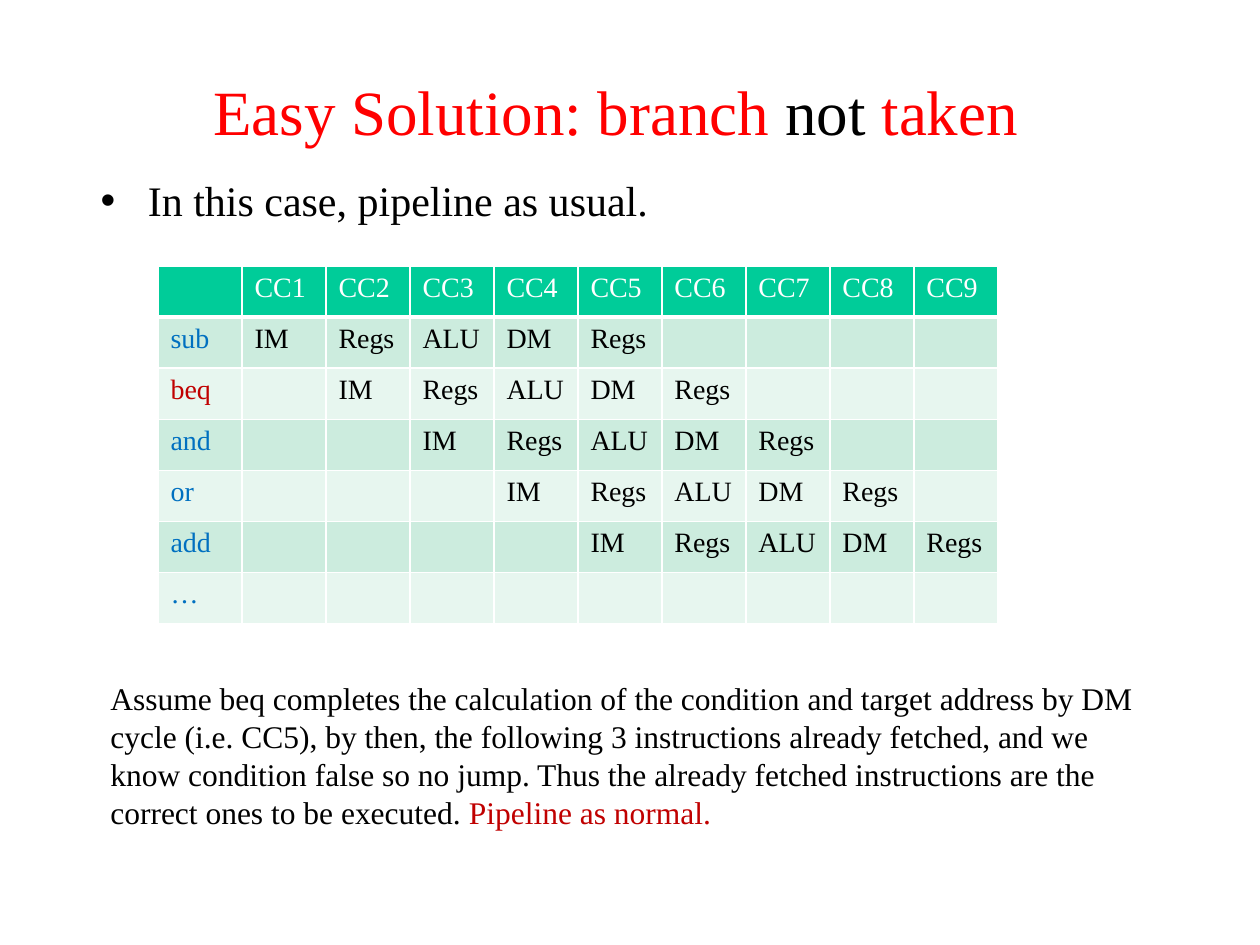
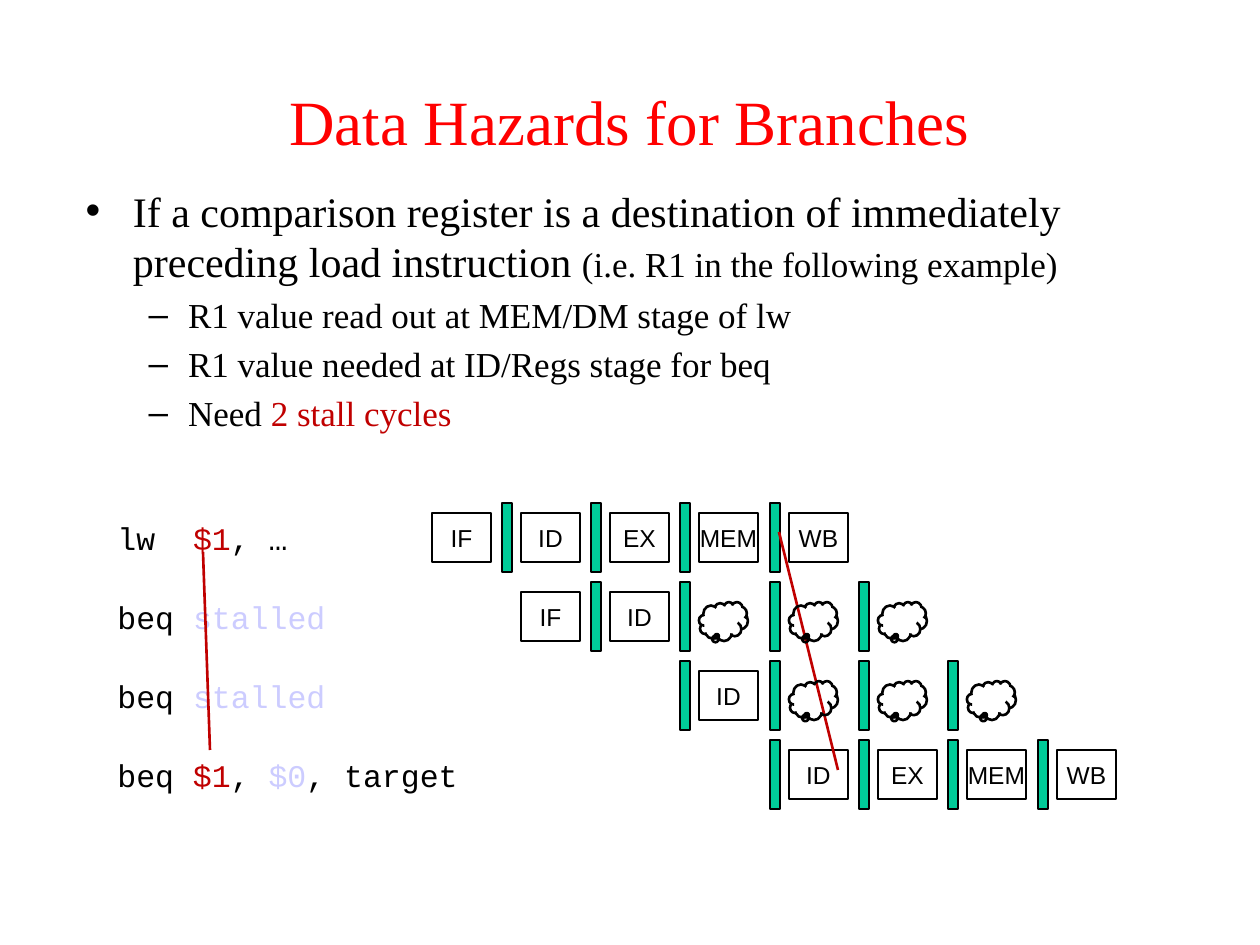
from dataclasses import dataclass

from lxml import etree
from pptx import Presentation
from pptx.dml.color import RGBColor
from pptx.enum.shapes import MSO_CONNECTOR, MSO_SHAPE
from pptx.enum.text import MSO_ANCHOR, MSO_AUTO_SIZE, PP_ALIGN
from pptx.oxml.ns import qn
from pptx.util import Emu, Pt

PX_PER_INCH = 126
CENTER = PP_ALIGN.CENTER
MIDDLE = MSO_ANCHOR.MIDDLE
NO_AUTOFIT = MSO_AUTO_SIZE.NONE
RECTANGLE = MSO_SHAPE.RECTANGLE
CLOUD = MSO_SHAPE.CLOUD_CALLOUT
STRAIGHT = MSO_CONNECTOR.STRAIGHT


@dataclass(frozen=True)
class Theme:
    serif: str = "Times New Roman"
    sans: str = "Arial"
    mono: str = "Courier New"
    title: str = "FF0000"
    ink: str = "000000"
    accent: str = "C00000"
    muted: str = "CCCCFF"
    instruction: str = "0070C0"
    green: str = "00CC99"
    band_dark: str = "CCECDE"
    band_light: str = "E7F6EF"
    white: str = "FFFFFF"
    title_size: int = 36
    body_size: int = 24
    detail_size: int = 20
    text_size: int = 18
    table_size: int = 16
    label_size: int = 14


THEME = Theme()

TABLE_LEFT, TABLE_TOP = 158, 266
CELL_WIDTH, CELL_HEIGHT = 84, 51
CYCLES = 9
INSTRUCTIONS = ["sub", "beq", "and", "or", "add", "…"]
STAGE_UNITS = ["IM", "Regs", "ALU", "DM", "Regs"]

PIPELINE_LEFT, PIPELINE_TOP = 432, 513
COLUMN_SPAN, COLUMN_STEPS = 625, 7
ROW_STEP = 79
STAGE_SIZE = (59, 49)
LATCH_SIZE = (10, 69)
BUBBLE_SIZE = (49, 39)
LATCH_GAP = 19
BUBBLE = ""
PIPELINE_ROWS = [
    (0, ["IF", "ID", "EX", "MEM", "WB"]),
    (1, ["IF", "ID", BUBBLE, BUBBLE, BUBBLE]),
    (3, ["ID", BUBBLE, BUBBLE, BUBBLE]),
    (4, ["ID", "EX", "MEM", "WB"]),
]
STALLED = [("beq ", THEME.ink), ("stalled", THEME.muted)]
CODE_LINES = [
    [("lw  ", THEME.ink), ("$1", THEME.accent), (", …", THEME.ink)],
    STALLED,
    STALLED,
    [("beq ", THEME.ink), ("$1", THEME.accent), (", ", THEME.ink),
     ("$0", THEME.muted), (", target", THEME.ink)],
]
CODE_LEFT, CODE_CHAR_WIDTH, CODE_INSETS = 105, 19, 25


def px(length):
    return Emu(round(length * 914400 / PX_PER_INCH))


def color(code):
    return RGBColor.from_string(code)


def format_font(font, size, code, name=THEME.serif):
    font.size = Pt(size)
    font.name = name
    font.bold = False
    font.color.rgb = color(code)


def write_runs(paragraph, segments, size, name=THEME.serif):
    for text, code, *own_size in segments:
        run = paragraph.add_run()
        run.text = text
        format_font(run.font, own_size[0] if own_size else size, code, name)


def place(shape, left, top, width, height):
    shape.left, shape.top = px(left), px(top)
    shape.width, shape.height = px(width), px(height)


def fill_title(slide, box, segments):
    title = slide.shapes.title
    place(title, *box)
    frame = title.text_frame
    frame.auto_size = NO_AUTOFIT
    frame.vertical_anchor = MIDDLE
    paragraph = frame.paragraphs[0]
    paragraph.alignment = CENTER
    write_runs(paragraph, segments, THEME.title_size)


def fill_bullets(slide, box, bullets):
    body = slide.placeholders[1]
    place(body, *box)
    frame = body.text_frame
    frame.auto_size = NO_AUTOFIT
    sizes = (THEME.body_size, THEME.detail_size)
    for index, (level, segments) in enumerate(bullets):
        paragraph = frame.add_paragraph() if index else frame.paragraphs[0]
        paragraph.level = level
        write_runs(paragraph, segments, sizes[level])


def add_text(slide, box, segments, name=THEME.serif, wrap=True):
    left, top, width, height = map(px, box)
    frame = slide.shapes.add_textbox(left, top, width, height).text_frame
    frame.word_wrap = wrap
    write_runs(frame.paragraphs[0], segments, THEME.text_size, name)


def set_border(cell, side, points):
    line = etree.SubElement(cell._tc.get_or_add_tcPr(), qn(f"a:{side}"), w=str(Pt(points)))
    fill = etree.SubElement(line, qn("a:solidFill"))
    etree.SubElement(fill, qn("a:srgbClr"), val=THEME.white)


def format_cell(cell, text, text_color, fill_color, top_border, bottom_border):
    for side, points in (("lnL", 1), ("lnR", 1), ("lnT", top_border), ("lnB", bottom_border)):
        set_border(cell, side, points)
    cell.fill.solid()
    cell.fill.fore_color.rgb = color(fill_color)
    cell.text = text
    for run in cell.text_frame.paragraphs[0].runs:
        format_font(run.font, THEME.table_size, text_color)


def schedule_rows():
    rows = [[""] + [f"CC{cycle}" for cycle in range(1, CYCLES + 1)]]
    for delay, instruction in enumerate(INSTRUCTIONS):
        units = [] if instruction == "…" else [""] * delay + STAGE_UNITS
        rows.append([instruction] + units + [""] * (CYCLES - len(units)))
    return rows


def add_schedule(slide):
    rows = schedule_rows()
    row_count, column_count = len(rows), len(rows[0])
    schedule = slide.shapes.add_table(
        row_count, column_count, px(TABLE_LEFT), px(TABLE_TOP),
        px(column_count * CELL_WIDTH), px(row_count * CELL_HEIGHT)).table
    for column in schedule.columns:
        column.width = px(CELL_WIDTH)
    for row_index, row in enumerate(rows):
        schedule.rows[row_index].height = px(CELL_HEIGHT)
        header = row_index == 0
        band = THEME.band_dark if row_index % 2 else THEME.band_light
        for column_index, text in enumerate(row):
            if header:
                text_color = THEME.white
            elif column_index:
                text_color = THEME.ink
            else:
                text_color = THEME.accent if text == "beq" else THEME.instruction
            format_cell(schedule.cell(row_index, column_index), text, text_color,
                        THEME.green if header else band,
                        3 if row_index == 1 else 1, 3 if header else 1)


def add_outline(slide, preset, left, top, size, line_width, fill_color=None):
    shape = slide.shapes.add_shape(preset, px(left), px(top), *map(px, size))
    shape.shadow.inherit = False
    shape.line.color.rgb = color(THEME.ink)
    shape.line.width = Pt(line_width)
    if fill_color:
        shape.fill.solid()
        shape.fill.fore_color.rgb = color(fill_color)
    else:
        shape.fill.background()
    return shape


def add_stage(slide, left, top, label):
    frame = add_outline(slide, RECTANGLE, left, top, STAGE_SIZE, 1.5).text_frame
    frame.word_wrap = False
    frame.vertical_anchor = MIDDLE
    frame.text = label
    paragraph = frame.paragraphs[0]
    paragraph.alignment = CENTER
    format_font(paragraph.runs[0].font, THEME.label_size, THEME.ink, THEME.sans)


def add_bubble(slide, left, top):
    bubble = add_outline(slide, CLOUD, left, top + 10, BUBBLE_SIZE, 1.5)
    bubble.adjustments[0] = -0.13
    bubble.adjustments[1] = 0.36


def add_dependency(slide, start, end):
    line = slide.shapes.add_connector(STRAIGHT, *map(px, start + end))
    line.line.color.rgb = color(THEME.accent)
    line.line.width = Pt(1.5)
    etree.SubElement(line._element.spPr, qn("a:effectLst"))


def add_pipeline(slide):
    bubbles = []
    for row, (first_column, stages) in enumerate(PIPELINE_ROWS):
        top = PIPELINE_TOP + row * ROW_STEP
        for column, label in enumerate(stages, first_column):
            left = PIPELINE_LEFT + column * COLUMN_SPAN // COLUMN_STEPS
            if label == BUBBLE:
                bubbles.append((left, top))
            else:
                add_stage(slide, left, top, label)
            if label != "IF":
                add_outline(slide, RECTANGLE, left - LATCH_GAP, top - 10,
                            LATCH_SIZE, 0.75, THEME.green)
    add_dependency(slide, (779, 532), (838, 770))
    for left, top in bubbles:
        add_bubble(slide, left, top)


def add_code(slide):
    for row, segments in enumerate(CODE_LINES):
        characters = sum(len(text) for text, _ in segments)
        width = characters * CODE_CHAR_WIDTH + CODE_INSETS
        add_text(slide, (CODE_LEFT, PIPELINE_TOP + row * ROW_STEP, width, 50),
                 segments, THEME.mono, wrap=False)
    add_dependency(slide, (203, 552), (210, 750))


def build_not_taken(slide):
    fill_title(slide, (88, 68, 1071, 84), [
        ("Easy Solution: branch ", THEME.title), ("not", THEME.ink), (" taken ", THEME.title)])
    fill_bullets(slide, (88, 168, 1071, 567), [
        (0, [("In this case, pipeline as usual.", THEME.ink)])])
    add_schedule(slide)
    add_text(slide, (98, 673, 1061, 165), [
        ("Assume beq completes the calculation of the condition and target address by DM "
         "cycle (i.e. CC5), by then, the following 3 instructions already fetched, and we "
         "know condition false so no jump. Thus the already fetched instructions are the "
         "correct ones to be executed. ", THEME.ink),
        ("Pipeline as normal.", THEME.accent)])


def build_data_hazards(slide):
    fill_title(slide, (94, 84, 1071, 73), [("Data Hazards for Branches", THEME.title)])
    fill_bullets(slide, (73, 179, 1071, 262), [
        (0, [("If a comparison register is a destination of immediately preceding load "
              "instruction ", THEME.ink),
             ("(i.e. R1 in the following example)", THEME.ink, THEME.detail_size)]),
        (1, [("R1 value read out at MEM/DM stage of lw", THEME.ink)]),
        (1, [("R1 value needed at ID/Regs stage for beq", THEME.ink)]),
        (1, [("Need ", THEME.ink), ("2 stall cycles", THEME.accent)])])
    add_pipeline(slide)
    add_code(slide)


def main():
    deck = Presentation()
    deck.slide_width, deck.slide_height = px(1260), px(945)
    for build in (build_not_taken, build_data_hazards):
        build(deck.slides.add_slide(deck.slide_layouts[1]))
    deck.save("out.pptx")


if __name__ == "__main__":
    main()
